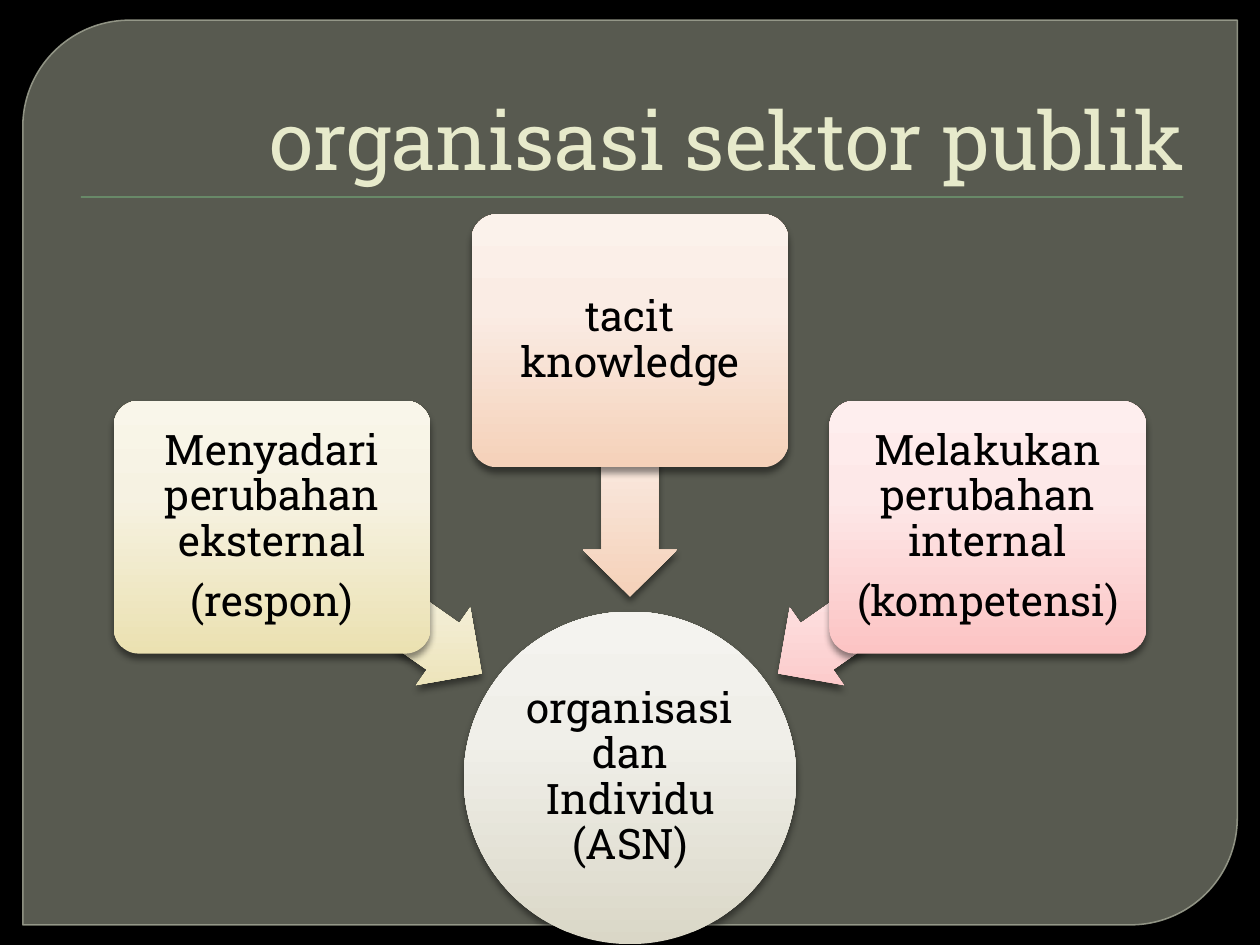
from dataclasses import dataclass

from lxml import etree
from pptx import Presentation
from pptx import util as u
from pptx.dml.color import RGBColor
from pptx.enum import shapes, text
from pptx.oxml import ns, parse_xml

FONT = "Roboto Slab"
COLORS = {
    "background": "000000",
    "panel": "888B7B",
    "panel_edge": "9DA090",
    "rule": "72A376",
    "title": "E7EACB",
    "ink": "000000",
}
# Each gradient runs from the bottom of the shape to its top.
GRADIENTS = {
    "grey": ("DAD7C7", "F0EFE9", "F4F3EF"),
    "sand": ("EBE1B1", "F6F2E2", "F9F6EA"),
    "peach": ("F5D1B9", "FAECE4", "FBF2EB"),
    "pink": ("FCC4C4", "FDE8E8", "FEEEEE"),
}
STOPS = (0, 62, 100)
CENTER_X = 360
CARD_W, CARD_H = 181, 144.5
ARROW_W, ARROW_H = 146, 54
CIRCLE_SIZE = 190


@dataclass
class Driver:
    lines: tuple[str, ...]
    gradient: str
    card_offset: float
    card_top: float
    arrow_offset: float
    arrow_middle: float
    arrow_turn: float


DRIVERS = (
    Driver(("Menyadari perubahan eksternal", "(respon)"), "sand",
           -204.5, 229, -144.5, 343, 215),
    Driver(("tacit knowledge",), "peach", 0, 122.5, 0, 268, 270),
    Driver(("Melakukan perubahan internal", "(kompetensi)"), "pink",
           204.5, 229, 144.5, 343, 325),
)


def rgb(name: str) -> RGBColor:
    return RGBColor.from_string(COLORS[name])


def add_box(slide, preset, left: float, top: float, width: float, height: float):
    """Add a preset shape without outline or inherited shadow."""
    box = slide.shapes.add_shape(
        preset, u.Pt(left), u.Pt(top), u.Pt(width), u.Pt(height))
    box.shadow.inherit = False
    box.line.fill.background()
    return box


def set_opacity(color_parent, percent: int) -> None:
    for color in color_parent.iter(ns.qn("a:srgbClr")):
        etree.SubElement(color, ns.qn("a:alpha"), val=str(percent * 1000))


def add_shadow(box, opacity: int, blur: float, distance: float) -> None:
    effects = box._element.spPr.find(ns.qn("a:effectLst"))
    effects.append(parse_xml(
        f'<a:outerShdw {ns.nsdecls("a")} blurRad="{u.Pt(blur)}" '
        f'dist="{u.Pt(distance)}" dir="5400000" rotWithShape="0">'
        f'<a:srgbClr val="000000"><a:alpha val="{opacity * 1000}"/></a:srgbClr>'
        '</a:outerShdw>'))


def style_diagram_part(box, gradient: str) -> None:
    """Give a part of the diagram its three-stop gradient and soft shadow."""
    stops = "".join(
        f'<a:gs pos="{stop * 1000}"><a:srgbClr val="{color}"/></a:gs>'
        for stop, color in zip(STOPS, GRADIENTS[gradient]))
    box._element.spPr.find(ns.qn("a:prstGeom")).addnext(parse_xml(
        f'<a:gradFill {ns.nsdecls("a")} rotWithShape="0"><a:gsLst>{stops}</a:gsLst>'
        '<a:lin ang="16200000" scaled="0"/></a:gradFill>'))
    add_shadow(box, 43, 4, 3)


def write_label(box, lines: tuple[str, ...], inset: float) -> None:
    frame = box.text_frame
    frame.word_wrap = True
    frame.vertical_anchor = text.MSO_ANCHOR.MIDDLE
    frame.margin_left = frame.margin_right = u.Pt(inset)
    frame.margin_top = frame.margin_bottom = u.Pt(inset)
    frame.text = "\n".join(lines)
    for paragraph in frame.paragraphs:
        paragraph.alignment = text.PP_ALIGN.CENTER
        paragraph.line_spacing = 0.9
        paragraph.space_after = u.Pt(8.4)
        paragraph.font.name = FONT
        paragraph.font.size = u.Pt(24)
        paragraph.font.color.rgb = rgb("ink")


def add_backdrop(slide) -> None:
    slide.background.fill.solid()
    slide.background.fill.fore_color.rgb = rgb("background")

    panel = add_box(slide, shapes.MSO_SHAPE.ROUND_2_DIAG_RECTANGLE,
                    13, 11.5, 694, 517)
    panel.adjustments[0] = 0.118
    panel.adjustments[1] = 0
    panel.fill.solid()
    panel.fill.fore_color.rgb = rgb("panel")
    set_opacity(panel._element.spPr.find(ns.qn("a:solidFill")), 65)
    panel.line.color.rgb = rgb("panel_edge")
    panel.line.width = u.Pt(0.87)
    set_opacity(panel._element.spPr.find(ns.qn("a:ln")), 88)

    rule = add_box(slide, shapes.MSO_SHAPE.RECTANGLE, 46.2, 112.2, 630, 0.72)
    rule.fill.solid()
    rule.fill.fore_color.rgb = rgb("rule")
    add_shadow(rule, 75, 1, 1)


def add_title(slide, wording: str) -> None:
    title = slide.shapes.add_textbox(u.Pt(36), u.Pt(20), u.Pt(648), u.Pt(90))
    frame = title.text_frame
    frame.word_wrap = True
    frame.vertical_anchor = text.MSO_ANCHOR.BOTTOM
    frame.text = wording
    paragraph = frame.paragraphs[0]
    paragraph.alignment = text.PP_ALIGN.RIGHT
    paragraph.font.name = FONT
    paragraph.font.size = u.Pt(46)
    paragraph.font.color.rgb = rgb("title")


def add_driver(slide, driver: Driver) -> None:
    """Draw an arrow towards the circle, then the card it starts from."""
    arrow = add_box(slide, shapes.MSO_SHAPE.LEFT_ARROW,
                    CENTER_X + driver.arrow_offset - ARROW_W / 2,
                    driver.arrow_middle - ARROW_H / 2, ARROW_W, ARROW_H)
    arrow.adjustments[0] = 0.6
    arrow.adjustments[1] = 0.5
    arrow.rotation = driver.arrow_turn
    style_diagram_part(arrow, driver.gradient)

    card = add_box(slide, shapes.MSO_SHAPE.ROUNDED_RECTANGLE,
                   CENTER_X + driver.card_offset - CARD_W / 2,
                   driver.card_top, CARD_W, CARD_H)
    card.adjustments[0] = 0.1
    style_diagram_part(card, driver.gradient)
    write_label(card, driver.lines, 3.6)


def main() -> None:
    deck = Presentation()
    deck.slide_width, deck.slide_height = u.Pt(720), u.Pt(540)
    slide = deck.slides.add_slide(deck.slide_layouts[6])
    add_backdrop(slide)
    add_title(slide, "organisasi sektor publik")

    circle = add_box(slide, shapes.MSO_SHAPE.OVAL, CENTER_X - CIRCLE_SIZE / 2,
                     349.5, CIRCLE_SIZE, CIRCLE_SIZE)
    style_diagram_part(circle, "grey")
    write_label(circle, ("organisasi dan Individu (ASN)",), 1.5)

    for driver in DRIVERS:
        add_driver(slide, driver)
    deck.save("out.pptx")


if __name__ == "__main__":
    main()
